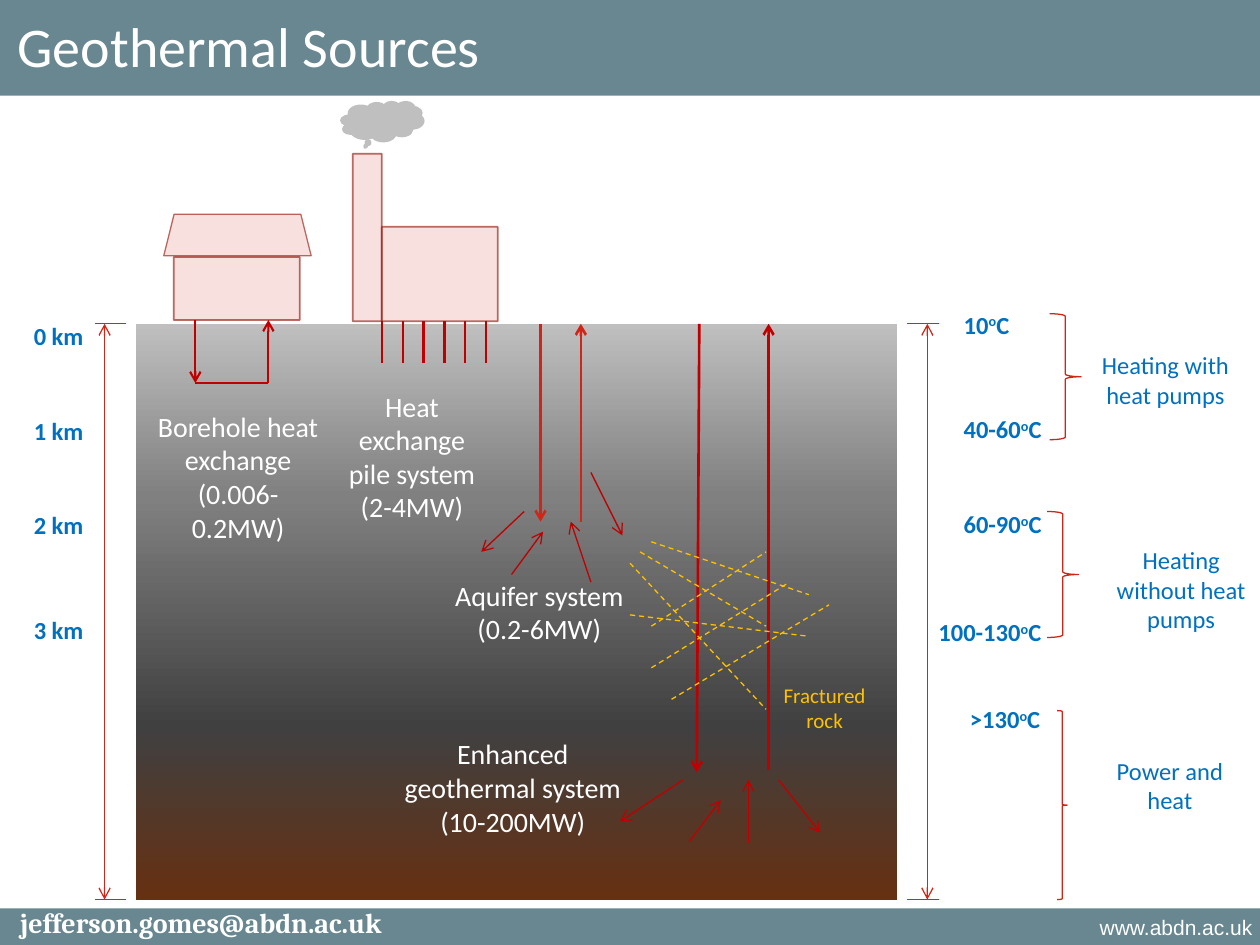
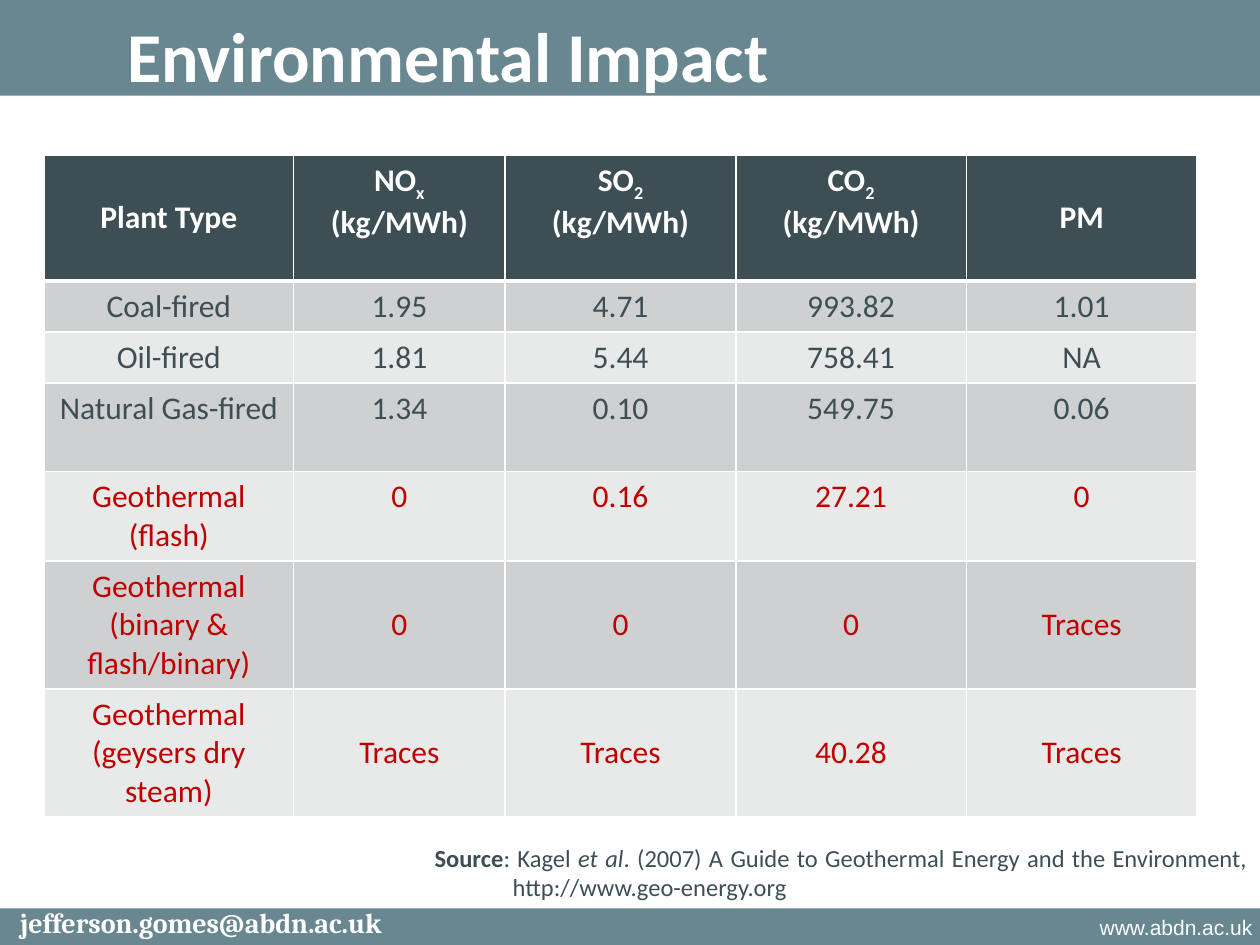
"""Build two slides on geothermal sources and their environmental impact."""
from typing import NamedTuple, Optional, Sequence

from lxml.etree import SubElement
from pptx import Presentation
from pptx.dml.color import RGBColor
from pptx.enum.dml import MSO_LINE
from pptx.enum.shapes import MSO_CONNECTOR, MSO_SHAPE as Preset
from pptx.enum.text import MSO_ANCHOR as Anchor, MSO_AUTO_SIZE, PP_ALIGN as Align
from pptx.oxml.ns import qn
from pptx.util import Emu, Inches, Pt

WIDTH, HEIGHT = Inches(10), Inches(7.5)
COLUMN, ROW = WIDTH / 100, HEIGHT / 75

WHITE = RGBColor(0xFF, 0xFF, 0xFF)
TEAL = RGBColor(0x68, 0x87, 0x91)
SLATE = RGBColor(0x3D, 0x4F, 0x55)
BLUE = RGBColor(0x00, 0x70, 0xC0)
CRIMSON = RGBColor(0xC0, 0x00, 0x00)
RED = RGBColor(0xD1, 0x25, 0x18)
BRICK = RGBColor(0xD1, 0x2A, 0x1D)
DARK_BRICK = RGBColor(0x9B, 0x1F, 0x15)
AMBER = RGBColor(0xFF, 0xC0, 0x00)
SMOKE = RGBColor(0xBF, 0xBF, 0xBF)
STRIPES = (RGBColor(0xCE, 0xD0, 0xD1), RGBColor(0xE8, 0xE9, 0xE9))
GROUND = ((0, SMOKE), (30, RGBColor(0x80, 0x80, 0x80)),
          (70, RGBColor(0x40, 0x40, 0x40)), (100, RGBColor(0x66, 0x30, 0x12)))

SURFACE, BOTTOM = 25.7, 71.4


class Area(NamedTuple):
    """A rectangle in grid columns and rows."""
    left: float
    top: float
    width: float
    height: float

    def emu(self) -> list[Emu]:
        """Return the rectangle in slide units."""
        return [Emu(round(n * unit)) for n, unit in zip(self, (COLUMN, ROW) * 2)]


class Style(NamedTuple):
    """The look of a piece of text."""
    size: int
    color: RGBColor
    bold: bool = False
    italic: bool = False
    font: str = "Calibri"


class Span(NamedTuple):
    """One run of text, raised or lowered by a percentage."""
    text: str
    style: Style
    shift: int = 0


class Stroke(NamedTuple):
    """The look of a line."""
    color: RGBColor
    width: float = 0.75
    head: bool = False
    tail: bool = False
    dashed: bool = False


class Label(NamedTuple):
    """A text with its place on the grid."""
    area: Area
    text: str
    style: Style


TITLE = Style(32, WHITE)
BIG_TITLE = Style(40, WHITE, bold=True)
EMAIL = Style(16, WHITE, bold=True, font="Cambria")
WEBSITE = Style(12, WHITE, font="Arial")
SCALE = Style(14, BLUE, bold=True)
USE = Style(14, BLUE)
SYSTEM = Style(16, WHITE)
ROCK = Style(12, AMBER)
NOTE = Style(14, SLATE)
HEADER = Style(18, WHITE, bold=True)

PLAIN = Stroke(RED)
DEPTH_ARROW = Stroke(RED, head=True, tail=True)
PIPE = Stroke(CRIMSON, 1.25)
PIPE_FLOW = Stroke(CRIMSON, 1.25, tail=True)
WELL = Stroke(CRIMSON, 1.5, tail=True)
AQUIFER_WELL = Stroke(RED, 1.5, tail=True)
SEEP = Stroke(CRIMSON, tail=True)
CRACK = Stroke(AMBER, dashed=True)

DEPTHS = ((25, "0 km"), (32.5, "1 km"), (40, "2 km"), (48.3, "3 km"))
TEMPERATURES = (
    (Area(75.5, 24.1, 5.8, 3.4), "10"),
    (Area(75.5, 32.4, 8.3, 3.4), "40-60"),
    (Area(75.5, 39.9, 8.3, 3.4), "60-90"),
    (Area(73.5, 48.5, 10.3, 3.4), "100-130"),
    (Area(76, 55.4, 7.7, 3.4), ">130"),
)
LABELS = (
    Label(Area(11.4, 32, 15, 11.8), "Borehole heat exchange (0.006-0.2MW)", SYSTEM),
    Label(Area(26.4, 30.4, 12.6, 11.8), "Heat exchange pile system (2-4MW)", SYSTEM),
    Label(Area(33.2, 45.4, 19.2, 6.4), "Aquifer system (0.2-6MW)", SYSTEM),
    Label(Area(31.1, 58, 19.2, 11.8), "Enhanced geothermal system (10-200MW)", SYSTEM),
    Label(Area(59.6, 53.7, 11.7, 5), "Fractured rock", ROCK),
    Label(Area(85, 27.3, 15, 5.7), "Heating with heat pumps", USE),
    Label(Area(87.1, 42.8, 13.3, 8.1), "Heating without heat pumps", USE),
    Label(Area(87, 59.5, 11.7, 5.7), "Power and heat", USE),
)
BUILDINGS = (
    (Preset.TRAPEZOID, Area(13, 17, 11.7, 3.3), 0.75),
    (Preset.RECTANGLE, Area(13.8, 20.4, 10, 5), 1),
    (Preset.RECTANGLE, Area(28, 12.2, 2.3, 13.3), 1),
    (Preset.RECTANGLE, Area(30.3, 18, 9.2, 7.5), 1),
)
BRACES = (Area(83.3, 24.9, 2.5, 10), Area(83.1, 40.6, 2.5, 10), Area(83.9, 56.4, 0.8, 15))
FLOWS = (
    (PIPE_FLOW, ((15.5, 25.4, 15.5, 30.4), (21.3, 30.4, 21.3, 25.4))),
    (PIPE, ((15.5, 30.4, 21.3, 30.4),)),
    (PIPE, tuple((30.3 + 1.66 * pile, 25.5, 30.3 + 1.66 * pile, 28.8) for pile in range(6))),
    (SEEP, ((40.6, 45.6, 43.1, 42.2), (46.9, 46.2, 45.3, 41.4),
            (46.9, 37.5, 49.4, 42.5), (41.6, 40.6, 38.2, 43.8),
            (54.7, 66.8, 57.2, 63.5), (59.4, 66.9, 59.4, 61.9),
            (61.8, 61.9, 65.1, 66.1), (54.2, 61.9, 49.2, 65.2))),
    (WELL, ((55.5, SURFACE, 55.3, 61.3), (61, 61.1, 61, SURFACE))),
    (CRACK, ((50.8, 43.8, 60.8, 49.7), (51.7, 49.7, 60.8, 43.8),
             (51.7, 43, 64.2, 47.2), (50, 48.8, 64.2, 50.5),
             (51.7, 53, 62.5, 46.3), (53.3, 55.5, 65.8, 48), (50, 44.7, 60.8, 56.3))),
    (AQUIFER_WELL, ((42.9, SURFACE, 42.9, 41.4), (46.1, 41.4, 46.1, SURFACE))),
)

GASES = (("NO", "x"), ("SO", "2"), ("CO", "2"))
TABLE_COLUMNS = (19.8, 16.8, 18.3, 18.3, 18.3)


class Plant(NamedTuple):
    """One table row: its height, look and values."""
    height: float
    color: RGBColor
    anchor: Anchor
    cells: tuple[str, ...]


PLANTS = (
    Plant(4, SLATE, Anchor.TOP, ("Coal-fired", "1.95", "4.71", "993.82", "1.01")),
    Plant(4, SLATE, Anchor.TOP, ("Oil-fired", "1.81", "5.44", "758.41", "NA")),
    Plant(7, SLATE, Anchor.TOP, ("Natural Gas-fired", "1.34", "0.10", "549.75", "0.06")),
    Plant(7, CRIMSON, Anchor.TOP, ("Geothermal (flash)", "0", "0.16", "27.21", "0")),
    Plant(10, CRIMSON, Anchor.MIDDLE,
          ("Geothermal (binary & flash/binary)", "0", "0", "0", "Traces")),
    Plant(10, CRIMSON, Anchor.MIDDLE,
          ("Geothermal (geysers dry steam)", "Traces", "Traces", "40.28", "Traces")),
)


def write(para, spans: Sequence[Span], align: Align = Align.LEFT) -> None:
    """Add the spans to a paragraph."""
    para.alignment = align
    for span in spans:
        run = para.add_run()
        run.text = span.text
        font, style = run.font, span.style
        font.name, font.size, font.bold, font.italic = (
            style.font, Pt(style.size), style.bold, style.italic)
        font.color.rgb = style.color
        if span.shift:
            run._r.get_or_add_rPr().set("baseline", str(span.shift * 1000))


def add_text(page, area: Area, spans: Sequence[Span], align: Align = Align.LEFT,
             wrap: bool = True):
    """Add a text box of one paragraph."""
    box = page.shapes.add_textbox(*area.emu())
    box.text_frame.word_wrap = wrap
    write(box.text_frame.paragraphs[0], spans, align)
    return box


def add_title(page, area: Area, text: str, style: Style) -> None:
    """Place and fill the title placeholder."""
    title = page.shapes.title
    title.left, title.top, title.width, title.height = area.emu()
    frame = title.text_frame
    frame.auto_size, frame.word_wrap = MSO_AUTO_SIZE.NONE, False
    frame.vertical_anchor = Anchor.TOP
    write(frame.paragraphs[0], [Span(text, style)])


def set_alpha(fill_parent, percent: int) -> None:
    """Make the solid colour inside an element see-through."""
    color = fill_parent.find(qn("a:solidFill"))[0]
    SubElement(color, qn("a:alpha"), val=str(percent * 1000))


def add_shape(page, preset: Preset, area: Area, fill: Optional[RGBColor] = None,
              line: Optional[RGBColor] = None, width: float = 0.75):
    """Add a flat preset shape."""
    shape = page.shapes.add_shape(preset, *area.emu())
    shape.shadow.inherit = False
    if fill is None:
        shape.fill.background()
    else:
        shape.fill.solid()
        shape.fill.fore_color.rgb = fill
    if line is None:
        shape.line.fill.background()
    else:
        shape.line.color.rgb = line
        shape.line.width = Pt(width)
    return shape


def add_line(page, ends: Sequence[float], stroke: Stroke) -> None:
    """Add a straight connector with optional arrowheads."""
    points = Area(*ends).emu()
    line = page.shapes.add_connector(MSO_CONNECTOR.STRAIGHT, *points)
    line.line.color.rgb = stroke.color
    line.line.width = Pt(stroke.width)
    if stroke.dashed:
        line.line.dash_style = MSO_LINE.DASH
    properties = line.element.spPr
    outline = properties.find(qn("a:ln"))
    for tag, wanted in (("a:headEnd", stroke.head), ("a:tailEnd", stroke.tail)):
        if wanted:
            SubElement(outline, qn(tag), type="arrow")
    SubElement(properties, qn("a:effectLst"))


def add_ground(page) -> None:
    """Draw the rock as a vertical gradient."""
    ground = add_shape(page, Preset.RECTANGLE, Area(10.8, SURFACE, 60.4, BOTTOM - SURFACE))
    ground.fill.gradient()
    ground.fill.gradient_angle = 270
    stops = ground.element.spPr.find(qn("a:gradFill")).find(qn("a:gsLst"))
    stops.clear()
    for position, color in GROUND:
        stop = SubElement(stops, qn("a:gs"), pos=str(position * 1000))
        SubElement(stop, qn("a:srgbClr"), val=str(color))


def add_scale(page, axis: float, tick: float) -> None:
    """Draw a vertical depth arrow with end ticks."""
    add_line(page, (axis, SURFACE, axis, BOTTOM), DEPTH_ARROW)
    for level in (SURFACE, BOTTOM):
        add_line(page, (tick, level, tick + 2.5, level), PLAIN)


def dress_layout(page) -> None:
    """Move the bands and the web address into the page's layout."""
    parts = (
        add_shape(page, Preset.RECTANGLE, Area(0, 72.1, 100, 2.9), TEAL),
        add_shape(page, Preset.RECTANGLE, Area(0, 0, 100, 7.6), TEAL),
        add_text(page, Area(74.4, 72.1, 26, 3.6), [Span("www.abdn.ac.uk", WEBSITE)], Align.RIGHT),
    )
    for index, part in enumerate(parts, start=2):
        page.slide_layout.shapes.element.insert(index, part.element)


def add_email(page) -> None:
    """Write the author's address on the bottom band."""
    box = add_text(page, Area(0, 71.7, 31.9, 3.3),
                   [Span("jefferson.gomes@abdn.ac.uk", EMAIL)], Align.CENTER)
    box.text_frame.paragraphs[0].line_spacing = 0.9


def build_sources(page) -> None:
    """Draw the cross-section of geothermal systems."""
    add_title(page, Area(0.4, 0.4, 39.1, 6.4), "Geothermal Sources", TITLE)
    add_ground(page)
    for preset, area, width in BUILDINGS:
        wall = add_shape(page, preset, area, BRICK, DARK_BRICK, width)
        set_alpha(wall.element.spPr, 14)
        set_alpha(wall.element.spPr.find(qn("a:ln")), 65)
    add_shape(page, Preset.CLOUD_CALLOUT, Area(27, 8, 6.7, 3.3), SMOKE)
    add_scale(page, 8.3, 7.5)
    add_scale(page, 73.6, 72)
    for stroke, lines in FLOWS:
        for ends in lines:
            add_line(page, ends, stroke)
    for area in BRACES:
        add_shape(page, Preset.RIGHT_BRACE, area, line=RED)
    for top, depth in DEPTHS:
        add_text(page, Area(1.7, top, 6, 3.4), [Span(depth, SCALE)], wrap=False)
    for area, degrees in TEMPERATURES:
        spans = [Span(degrees, SCALE), Span("o", SCALE, 30), Span("C", SCALE)]
        add_text(page, area, spans, wrap=False)
    for label in LABELS:
        add_text(page, label.area, [Span(label.text, label.style)], Align.CENTER)


def fill_cell(cell, lines: Sequence[Sequence[Span]], fill: RGBColor, anchor: Anchor,
              bottom: float = 1) -> None:
    """Write a cell and give it a fill and white borders."""
    cell.vertical_anchor = anchor
    for index, spans in enumerate(lines):
        frame = cell.text_frame
        write(frame.add_paragraph() if index else frame.paragraphs[0], spans, Align.CENTER)
    properties = cell._tc.get_or_add_tcPr()
    for side, width in (("L", 1), ("R", 1), ("T", 1), ("B", bottom)):
        border = SubElement(properties, qn(f"a:ln{side}"), w=str(Pt(width)))
        SubElement(SubElement(border, qn("a:solidFill")), qn("a:srgbClr"), val=str(WHITE))
    cell.fill.solid()
    cell.fill.fore_color.rgb = fill


def build_impact(page) -> None:
    """Build the emission table and its source."""
    add_title(page, Area(9.1, 0.5, 53.5, 7.7), "Environmental Impact", BIG_TITLE)
    heights = (10, *(plant.height for plant in PLANTS))
    area = Area(3.5, 12.3, sum(TABLE_COLUMNS), sum(heights))
    table = page.shapes.add_table(len(heights), len(TABLE_COLUMNS), *area.emu()).table
    for column, width in zip(table.columns, TABLE_COLUMNS):
        column.width = Emu(round(width * COLUMN))
    for row, height in zip(table.rows, heights):
        row.height = Emu(round(height * ROW))
    for index, text in ((0, "Plant Type"), (4, "PM")):
        fill_cell(table.cell(0, index), [[Span(text, HEADER)]], SLATE, Anchor.MIDDLE, 3)
    for index, (gas, subscript) in enumerate(GASES, start=1):
        lines = [[Span(gas, HEADER), Span(subscript, HEADER, -25)], [Span("(kg/MWh)", HEADER)]]
        fill_cell(table.cell(0, index), lines, SLATE, Anchor.TOP, 3)
    for number, plant in enumerate(PLANTS):
        for index, text in enumerate(plant.cells):
            anchor = plant.anchor if index else Anchor.TOP
            fill_cell(table.cell(number + 1, index), [[Span(text, Style(18, plant.color))]],
                      STRIPES[number % 2], anchor)
    note = add_text(page, Area(33.5, 66.4, 66.5, 5.7), [
        Span("Source", NOTE._replace(bold=True)), Span(": Kagel ", NOTE),
        Span("et al", NOTE._replace(italic=True)),
        Span(". (2007) A Guide to Geothermal Energy and the Environment, "
             "http://www.geo-energy.org", NOTE)], Align.JUSTIFY)
    hanging = note.text_frame.paragraphs[0]._p.get_or_add_pPr()
    hanging.set("marL", str(Inches(0.62)))
    hanging.set("indent", str(-Inches(0.62)))


def main() -> None:
    """Build and save the deck."""
    deck = Presentation()
    deck.slide_width, deck.slide_height = WIDTH, HEIGHT
    layout = deck.slide_layouts[5]
    for number, build in enumerate((build_sources, build_impact)):
        page = deck.slides.add_slide(layout)
        if number == 0:
            dress_layout(page)
        build(page)
        add_email(page)
    deck.save("out.pptx")


if __name__ == "__main__":
    main()
